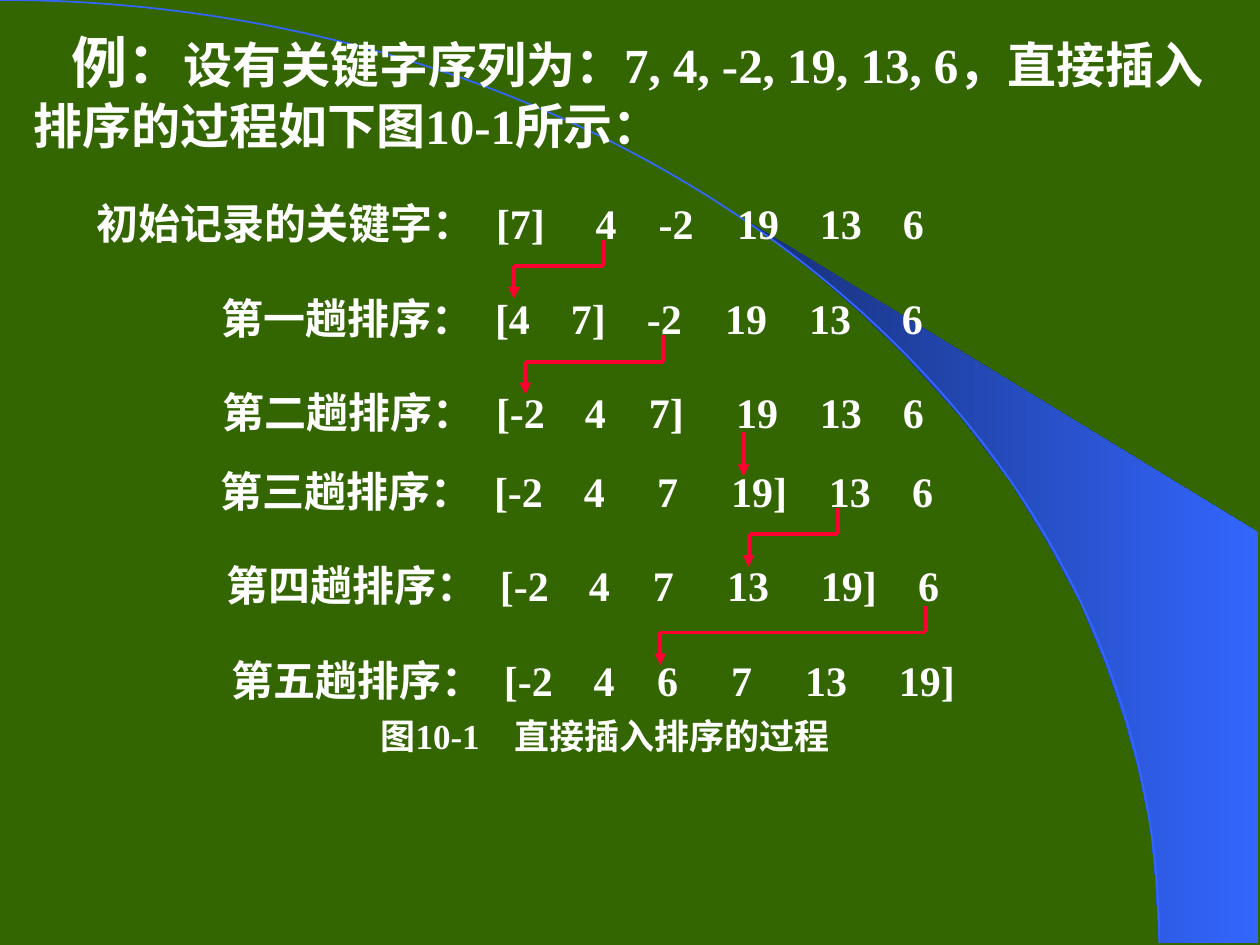
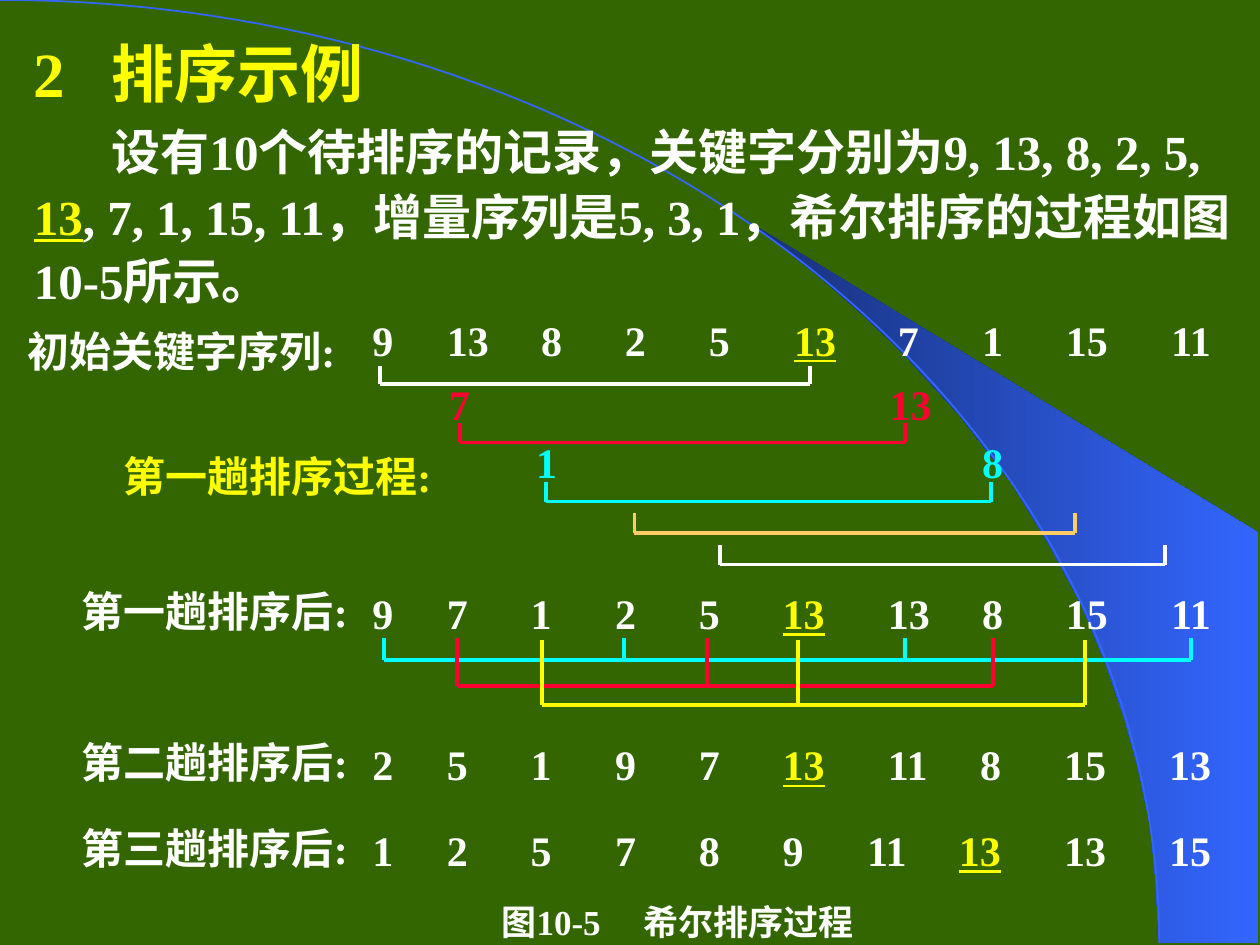
from dataclasses import dataclass

from lxml import etree
from pptx import Presentation
from pptx import util as u
from pptx.dml import color
from pptx.enum import shapes, text
from pptx.oxml import ns


@dataclass(frozen=True)
class Theme:
    latin: str = "Times New Roman"
    chinese: str = "Noto Sans CJK SC"
    background: str = "336600"
    blue: str = "3366FF"
    navy: str = "172F75"
    white: str = "FFFFFF"
    yellow: str = "FFFF00"
    red: str = "FF0033"
    cyan: str = "00FFFF"
    orange: str = "FFCC66"
    title: float = 36
    example: float = 32
    body: float = 28
    row: float = 24
    caption: float = 20
    stroke: float = 2.25


theme = Theme()
rgb = color.RGBColor.from_string


def write(slide, at, words, shape=None, size=theme.row, fill=theme.white,
          accent_size=None, accent_fill=theme.yellow, underline=True,
          line=None, indent=None, tabs=(), align=text.PP_ALIGN.LEFT,
          anchor=text.MSO_ANCHOR.MIDDLE):
    """Fill a placeholder or a new text box; words between * are accented."""
    left, top, width, height = map(u.Cm, at)
    shape = shape or slide.shapes.add_textbox(left, top, width, height)
    shape.left, shape.top, shape.width, shape.height = left, top, width, height
    frame = shape.text_frame
    frame.word_wrap = True
    frame.auto_size = text.MSO_AUTO_SIZE.NONE
    frame.vertical_anchor = anchor
    paragraph = frame.paragraphs[0]
    properties = paragraph._p.get_or_add_pPr()
    # An explicit indent makes LibreOffice drop the tab stops
    if indent is not None:
        properties.set("marL", "0")
        properties.set("indent", str(u.Cm(indent)))
        etree.SubElement(properties, ns.qn("a:buNone"))
    if tabs:
        tab_list = etree.SubElement(properties, ns.qn("a:tabLst"))
        for position in tabs:
            etree.SubElement(tab_list, ns.qn("a:tab"),
                             pos=str(u.Cm(position)), algn="l")
    paragraph.alignment = align
    paragraph.space_before = u.Pt(0)
    paragraph.line_spacing = u.Pt(line or size * 1.2)
    for index, part in enumerate(words.split("*")):
        if not part:
            continue
        accented = index % 2 == 1
        run = paragraph.add_run()
        run.text = part
        run.font.name = theme.latin
        run.font.bold = True
        run.font.size = u.Pt(accent_size if accented and accent_size else size)
        run.font.color.rgb = rgb(accent_fill if accented else fill)
        run.font.underline = accented and underline
        etree.SubElement(run._r.get_or_add_rPr(), ns.qn("a:ea"),
                         typeface=theme.chinese)


def draw_line(slide, start, end, stroke, arrow=False):
    """Draw a straight line between two points in centimetres."""
    connector = slide.shapes.add_connector(
        shapes.MSO_CONNECTOR.STRAIGHT, *map(u.Cm, (*start, *end)))
    connector.line.color.rgb = rgb(stroke)
    connector.line.width = u.Pt(theme.stroke)
    if arrow:
        etree.SubElement(connector.line._get_or_add_ln(), ns.qn("a:tailEnd"),
                         type="triangle")
    etree.SubElement(connector._element.spPr, ns.qn("a:effectLst"))


presentation = Presentation()
presentation.slide_width = u.Cm(25.4)
presentation.slide_height = u.Cm(19.05)
layout = presentation.slide_layouts[1]
insertion_slide = presentation.slides.add_slide(layout)
shell_slide = presentation.slides.add_slide(layout)

# Master: green background, blue blade and thin arc
master = presentation.slide_master
master.background.fill.solid()
master.background.fill.fore_color.rgb = rgb(theme.background)

blade_points = [
    (23.37, 19), (25.37, 19.02), (25.37, 10.74), (14.96, 4.39), (15.85, 5.05),
    (16.59, 5.64), (17.4, 6.35), (18.19, 7.11), (19.35, 8.38), (20.4, 9.75),
    (21.13, 10.95), (21.79, 12.17), (22.3, 13.41), (22.68, 14.53),
    (22.94, 15.47), (23.19, 16.66), (23.29, 17.68)]
blade_points = [(u.Cm(x), u.Cm(y)) for x, y in blade_points]
builder = insertion_slide.shapes.build_freeform(*blade_points[0])
builder.add_line_segments(blade_points[1:], close=True)
blade = builder.convert_to_shape()
blade.fill.gradient()
blade.fill.gradient_angle = 0
for stop, shade in zip(blade.fill.gradient_stops, (theme.navy, theme.blue)):
    stop.color.rgb = rgb(shade)
blade.line.fill.background()

arc = insertion_slide.shapes.add_shape(
    shapes.MSO_SHAPE.ARC, *map(u.Cm, (-23.37, 0, 46.74, 38.02)))
arc.fill.background()
arc.line.color.rgb = rgb(theme.blue)
arc.line.width = u.Pt(1)

for shape in (blade, arc):
    shape.shadow.inherit = False
    master.shapes._spTree.append(shape._element)

# Slide 1: straight insertion sort
title = insertion_slide.shapes.title
title._element.getparent().remove(title._element)
write(insertion_slide, (0.43, 0.57, 24.77, 2.79),
      "*例：*设有关键字序列为：7, 4, -2, 19, 13, 6，直接插入排序的过程如下图10-1所示：",
      shape=insertion_slide.placeholders[1], size=theme.body,
      accent_size=theme.example, accent_fill=theme.white, underline=False,
      line=34.2, indent=0.76, anchor=text.MSO_ANCHOR.TOP)

# Passes: box left, top, label, keys and the left edge of each key
inset = 0.25
passes = [
    (1.7, 3.95, "初始记录的关键字：", "[7] 4 -2 19 13 6",
     (10, 12.01, 13.28, 14.86, 16.53, 18.2)),
    (4.22, 5.86, "第一趟排序：", "[4 7] -2 19 13 6",
     (9.98, 11.51, 13.04, 14.62, 16.31, 18.18)),
    (4.24, 7.76, "第二趟排序：", "[-2 4 7] 19 13 6",
     (10, 11.79, 13.08, 14.84, 16.53, 18.2)),
    (4.19, 9.34, "第三趟排序：", "[-2 4 7 19] 13 6",
     (9.96, 11.77, 13.25, 14.74, 16.71, 18.39)),
    (4.32, 11.24, "第四趟排序：", "[-2 4 7 13 19] 6",
     (10.08, 11.87, 13.16, 14.66, 16.55, 18.51)),
    (4.42, 13.15, "第五趟排序：", "[-2 4 6 7 13 19]",
     (10.16, 11.97, 13.25, 14.74, 16.23, 18.12)),
]
for left, top, label, keys, edges in passes:
    write(insertion_slide, (left, top, 20 - left, 1.09),
          "\t".join([label, *keys.split()]),
          tabs=[edge - left - inset for edge in edges])

# Arrows: each key moves to its place in the next pass
moves = [(12.17, 4.83, 10.36), (13.36, 6.76, 10.59),
         (16.89, 10.24, 15.09), (18.66, 12.22, 13.31)]
for source, top, target in moves:
    bend = top + 0.53
    draw_line(insertion_slide, (source, top), (source, bend), theme.red)
    draw_line(insertion_slide, (target, bend), (source, bend), theme.red)
    draw_line(insertion_slide, (target, bend), (target, bend + 0.66),
              theme.red, arrow=True)
draw_line(insertion_slide, (14.99, 8.71), (14.99, 9.6), theme.red, arrow=True)

# Slide 2: Shell sort
write(shell_slide, (0.43, 0.57, 24.77, 1.7), "2\t排序示例",
      shape=shell_slide.shapes.title, size=theme.title, fill=theme.yellow,
      tabs=[1.57], anchor=text.MSO_ANCHOR.TOP)
write(shell_slide, (0.43, 2.21, 24.94, 4.2),
      "设有10个待排序的记录，关键字分别为9, 13, 8, 2, 5, *13*, 7, 1, 15, 11，"
      "增量序列是5, 3, 1，希尔排序的过程如图10-5所示。",
      shape=shell_slide.placeholders[1], size=theme.body, line=36.9,
      indent=1.57, anchor=text.MSO_ANCHOR.TOP)

# Key rows: top, keys and the left edge of every key after the first
keys_left = 7.26
key_rows = [
    (6.3, "9 13 8 2 5 *13* 7 1 15 11",
     (9.01, 10.91, 12.6, 14.29, 16.01, 18.1, 19.8, 21.49, 23.61)),
    (11.81, "9 7 1 2 5 *13* 13 8 15 11",
     (9.01, 10.7, 12.4, 14.09, 15.78, 17.9, 19.8, 21.49, 23.61)),
    (14.86, "2 5 1 9 7 *13* 11 8 15 13",
     (9.01, 10.7, 12.4, 14.09, 15.78, 17.9, 19.76, 21.45, 23.57)),
    (16.59, "1 2 5 7 8 9 11 *13* 13 15",
     (9.01, 10.7, 12.4, 14.09, 15.78, 17.48, 19.33, 21.45, 23.57)),
]
for top, keys, edges in key_rows:
    write(shell_slide, (keys_left, top, 17.9, 1.09), "\t".join(keys.split()),
          tabs=[edge - keys_left - inset for edge in edges])

# Row labels
for left, top, label, fill in [
        (0.3, 6.52, "初始关键字序列:", theme.white),
        (2.24, 9.04, "第一趟排序过程:", theme.yellow),
        (1.4, 11.77, "第一趟排序后:", theme.white),
        (1.4, 14.82, "第二趟排序后:", theme.white),
        (1.4, 16.54, "第三趟排序后:", theme.white)]:
    write(shell_slide, (left, top, 7.2, 1.09), label, fill=fill)

# Swapped keys of the first pass
for left, top, key, fill in [
        (8.46, 7.59, "7", theme.red), (17.56, 7.59, "13", theme.red),
        (10.22, 8.76, "1", theme.cyan), (19.21, 8.76, "8", theme.cyan)]:
    write(shell_slide, (left, top, 1.6, 1.09), key, fill=fill,
          align=text.PP_ALIGN.CENTER)

# Brackets joining the keys of one group: colour, tick top, base, tick places
brackets = [
    (theme.white, 7.37, 7.75, (7.66, 16.33)),
    (theme.red, 8.52, 8.92, (9.28, 18.24)),
    (theme.cyan, 9.72, 10.11, (11.01, 19.98)),
    (theme.orange, 10.35, 10.74, (12.79, 21.67)),
    (theme.white, 10.99, 11.38, (14.52, 23.48)),
    (theme.cyan, 12.86, 13.31, (7.75, 12.57, 18.24, 24)),
    (theme.red, 12.87, 13.82, (9.22, 14.25, 20.02)),
    (theme.yellow, 12.91, 14.22, (10.92, 16.08, 21.88)),
]
for stroke, top, base, ticks in brackets:
    draw_line(shell_slide, (ticks[0], base), (ticks[-1], base), stroke)
    for tick in ticks:
        draw_line(shell_slide, (tick, top), (tick, base), stroke)

# Figure captions
for slide, left, top, caption, tab in [
        (insertion_slide, 7.42, 14.29, "图10-1\t直接插入排序的过程", 2.7),
        (shell_slide, 9.86, 18.04, "图10-5\t希尔排序过程", 2.86)]:
    write(slide, (left, top, 10, 1.09), caption, size=theme.caption, tabs=[tab])

presentation.save("out.pptx")
